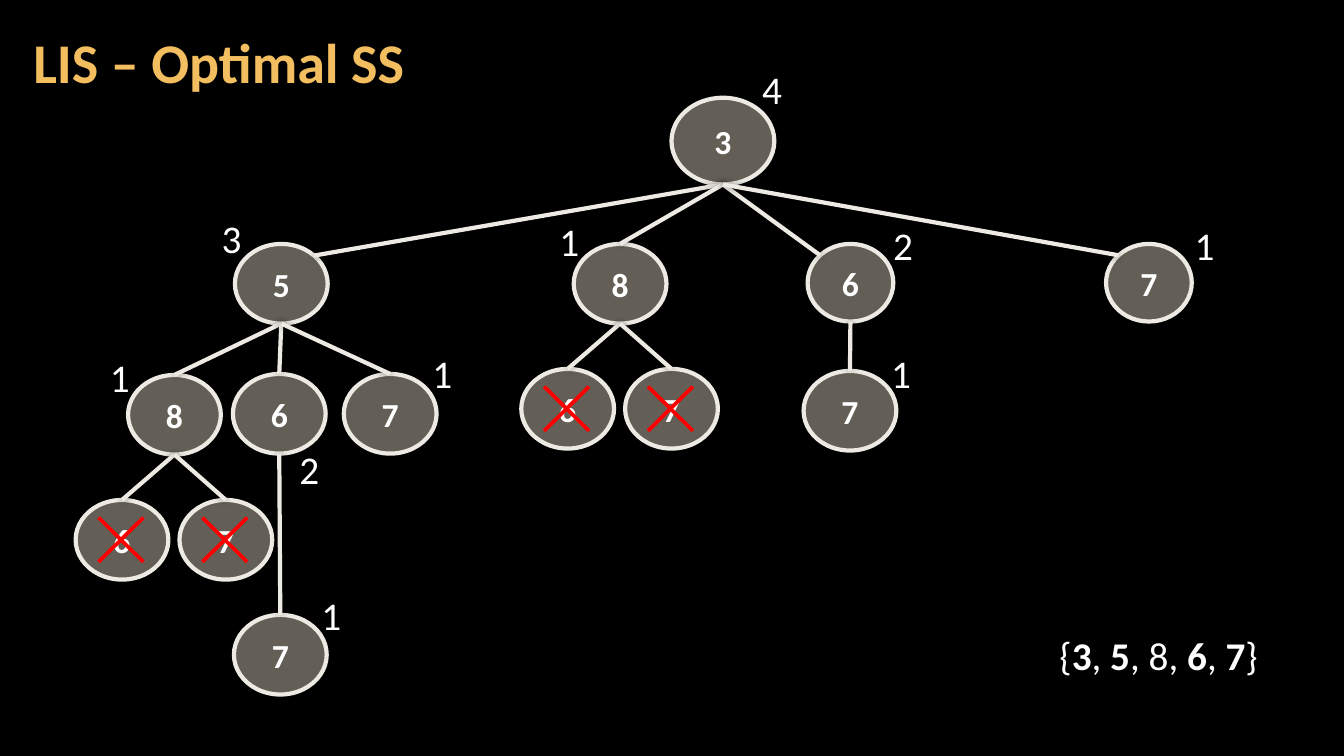
from dataclasses import dataclass
from math import sqrt

from lxml import etree
from pptx import Presentation
from pptx.dml.color import RGBColor
from pptx.enum import shapes, text
from pptx.oxml import ns
from pptx.util import Inches, Pt


@dataclass(frozen=True)
class Theme:
    """Hold the colours, font and type sizes of the slide."""
    font: str = "Calibri"
    background: str = "000000"
    title: str = "F3BE60"
    body: str = "FFFFFF"
    node: str = "C7BFAC"
    outline: str = "ECEAE3"
    cross: str = "FF0000"
    title_size: int = 40
    node_size: int = 24
    label_size: int = 28


@dataclass(frozen=True)
class Node:
    """Describe one tree node, its parent and its length label, in inches."""
    value: str
    left: float
    top: float
    parent: str = ""
    label: tuple = ()
    size: tuple = (0.92, 0.79)
    side: int = 0
    crossed: bool = False

    @property
    def bottom_point(self):
        """Return the point where edges to children start."""
        return self.left + self.size[0] / 2, self.top + self.size[1]

    @property
    def entry_point(self):
        """Return the top of the ellipse, or its upper corner on the given side."""
        width, height = self.size
        drop = height / 2 * (1 - 1 / sqrt(2)) if self.side else 0
        return self.left + width / 2 * (1 + self.side / sqrt(2)), self.top + drop


THEME = Theme()
SMALL = (0.85, 0.77)
TREE = {
    "3": Node("3", 6.66, 0.97, label=("4", 7.46, 0.6), size=(1.02, 0.86)),
    "35": Node("5", 2.33, 2.42, "3", ("3", 2.1, 2.08), side=1),
    "38": Node("8", 5.69, 2.42, "3", ("1", 5.45, 2.11)),
    "36": Node("6", 8.01, 2.42, "3", ("2", 8.76, 2.15), SMALL, side=-1),
    "37": Node("7", 10.97, 2.42, "3", ("1", 11.75, 2.15), SMALL, side=-1),
    "358": Node("8", 1.27, 3.72, "35", ("1", 0.99, 3.46)),
    "356": Node("6", 2.31, 3.71, "35", ("2", 2.87, 4.37)),
    "357": Node("7", 3.41, 3.71, "35", ("1", 4.19, 3.42)),
    "386": Node("6", 5.17, 3.66, "38", crossed=True),
    "387": Node("7", 6.2, 3.66, "38", crossed=True),
    "367": Node("7", 7.97, 3.68, "36", ("1", 8.74, 3.42)),
    "3586": Node("6", 0.75, 4.96, "358", crossed=True),
    "3587": Node("7", 1.78, 4.96, "358", crossed=True),
    "3567": Node("7", 2.32, 6.1, "356", ("1", 3.09, 5.82)),
}
SEQUENCE = [("{", False), ("3", True), (",", False), (" 5", True), (", 8, ", False),
            ("6", True), (",", False), (" 7", True), ("}", False)]


def colour(value):
    """Turn a hex string into a colour."""
    return RGBColor.from_string(value)


def format_run(run, size, color, bold=False):
    """Set font, size, colour and weight of a run."""
    run.font.name = THEME.font
    run.font.size = Pt(size)
    run.font.color.rgb = colour(color)
    run.font.bold = bold


def set_margins(frame, horizontal, vertical):
    """Set the insets of a text frame in inches."""
    frame.margin_left = frame.margin_right = Inches(horizontal)
    frame.margin_top = frame.margin_bottom = Inches(vertical)


def add_alpha(color_element, percent):
    """Make a colour element partly transparent."""
    etree.SubElement(color_element, ns.qn("a:alpha"), val=str(percent * 1000))


def outline_with_glow(shape):
    """Give a node or an edge its light line and soft shadow."""
    shape.line.color.rgb = colour(THEME.outline)
    shape.line.width = Pt(3)
    effects = etree.SubElement(shape._element.spPr, ns.qn("a:effectLst"))
    shadow = etree.SubElement(effects, ns.qn("a:outerShdw"), blurRad=str(Pt(5)),
                              dist="0", dir="0", rotWithShape="0")
    add_alpha(etree.SubElement(shadow, ns.qn("a:srgbClr"), val="000000"), 40)


def add_title(slide, wording):
    """Place and format the title placeholder."""
    title = slide.shapes.title
    title.left, title.top = Inches(0.21), Inches(0.04)
    title.width, title.height = Inches(10.47), Inches(1.21)
    frame = title.text_frame
    frame.text = wording
    frame.auto_size = text.MSO_AUTO_SIZE.NONE
    frame.vertical_anchor = text.MSO_ANCHOR.MIDDLE
    set_margins(frame, 0.12, 0.04)
    paragraph = frame.paragraphs[0]
    paragraph.alignment = text.PP_ALIGN.LEFT
    paragraph.line_spacing = 0.9
    format_run(paragraph.runs[0], THEME.title_size, THEME.title, True)


def add_node(slide, node):
    """Draw one ellipse with its value."""
    shape = slide.shapes.add_shape(shapes.MSO_SHAPE.OVAL, Inches(node.left), Inches(node.top),
                                   *map(Inches, node.size))
    shape.fill.solid()
    shape.fill.fore_color.rgb = colour(THEME.node)
    add_alpha(shape._element.spPr.find(ns.qn("a:solidFill"))[0], 50)
    outline_with_glow(shape)
    frame = shape.text_frame
    frame.text = node.value
    frame.vertical_anchor = text.MSO_ANCHOR.MIDDLE
    set_margins(frame, 0, 0.04)
    paragraph = frame.paragraphs[0]
    paragraph.alignment = text.PP_ALIGN.CENTER
    format_run(paragraph.runs[0], THEME.node_size, THEME.body, True)


def add_edge(slide, parent, child):
    """Draw the line from a parent down to its child."""
    points = map(Inches, parent.bottom_point + child.entry_point)
    outline_with_glow(slide.shapes.add_connector(shapes.MSO_CONNECTOR.STRAIGHT, *points))


def add_cross(slide, node):
    """Strike out a node with a thin red cross."""
    cross = slide.shapes.add_shape(shapes.MSO_SHAPE.MATH_MULTIPLY, Inches(node.left + 0.03),
                                   Inches(node.top - 0.02), Inches(0.84), Inches(0.83))
    cross.adjustments[0] = 0.028
    cross.shadow.inherit = False
    cross.fill.solid()
    cross.fill.fore_color.rgb = cross.line.color.rgb = colour(THEME.cross)
    cross.line.width = Pt(1)


def add_text(slide, left, top, width, pieces, wrap=True):
    """Write one line of regular and bold pieces."""
    box = slide.shapes.add_textbox(Inches(left), Inches(top), Inches(width), Inches(0.57))
    frame = box.text_frame
    frame.word_wrap = wrap
    frame.auto_size = text.MSO_AUTO_SIZE.SHAPE_TO_FIT_TEXT
    for wording, bold in pieces:
        run = frame.paragraphs[0].add_run()
        run.text = wording
        format_run(run, THEME.label_size, THEME.body, bold)


def main():
    """Build the slide and save it."""
    presentation = Presentation()
    presentation.slide_width, presentation.slide_height = Inches(13.33), Inches(7.5)
    slide = presentation.slides.add_slide(presentation.slide_layouts[5])
    slide.background.fill.solid()
    slide.background.fill.fore_color.rgb = colour(THEME.background)
    add_title(slide, "LIS – Optimal SS")
    for node in TREE.values():
        add_node(slide, node)
    for node in TREE.values():
        if node.parent:
            add_edge(slide, TREE[node.parent], node)
        if node.crossed:
            add_cross(slide, node)
        if node.label:
            wording, left, top = node.label
            add_text(slide, left, top, 0.28, [(wording, False)])
    add_text(slide, 10.41, 6.21, 2.2, SEQUENCE, wrap=False)
    presentation.save("out.pptx")


if __name__ == "__main__":
    main()
